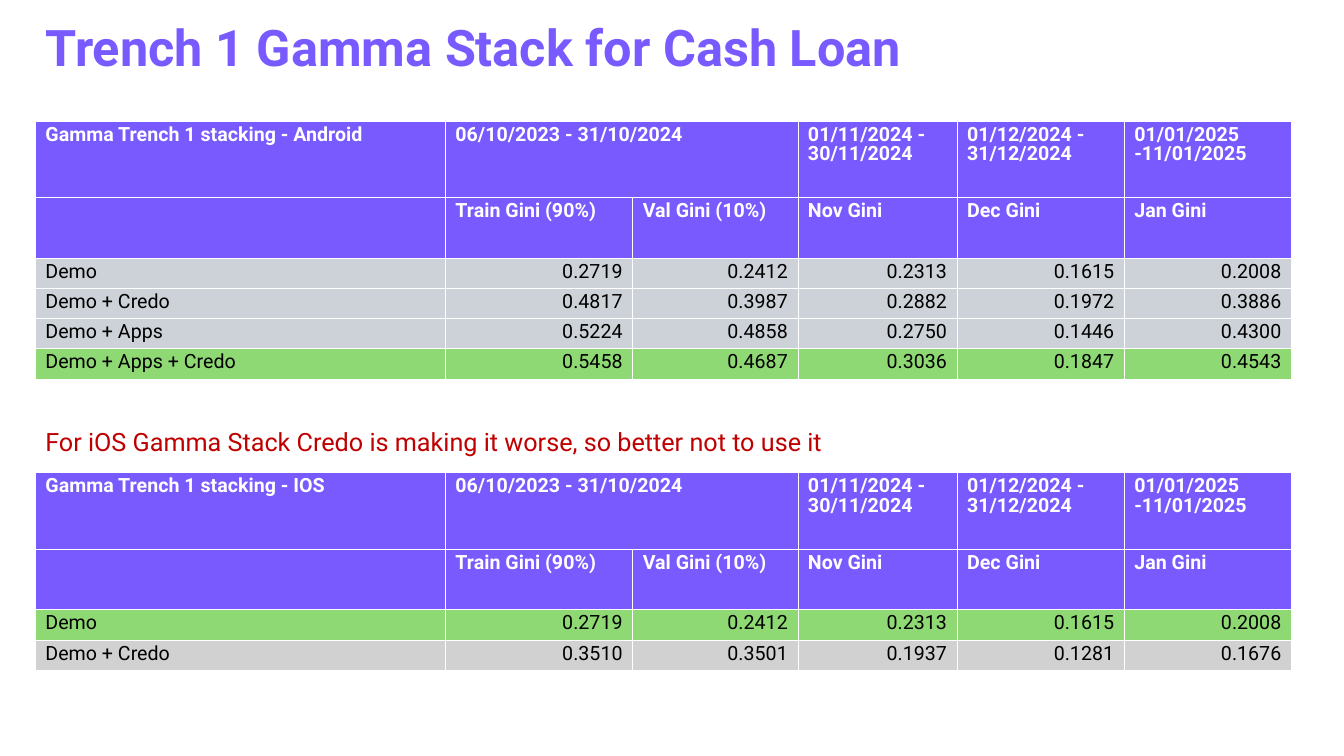
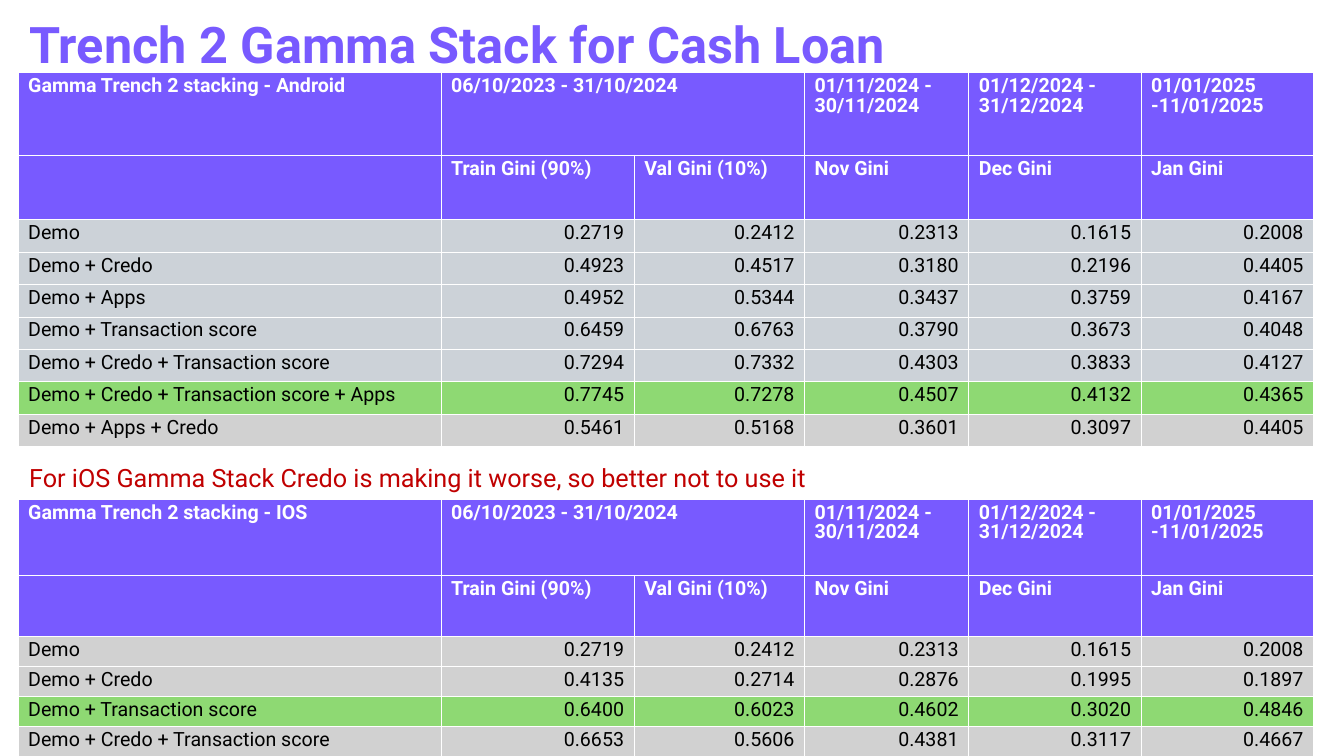
from lxml import etree
from pptx import Presentation
from pptx.dml.color import RGBColor
from pptx.enum.text import MSO_ANCHOR, MSO_AUTO_SIZE, PP_ALIGN
from pptx.oxml.ns import qn
from pptx.util import Inches, Pt

LEFT, RIGHT = PP_ALIGN.LEFT, PP_ALIGN.RIGHT
TOP = MSO_ANCHOR.TOP
GROW = MSO_AUTO_SIZE.SHAPE_TO_FIT_TEXT

FONT = "Roboto"
TITLE_ONLY = 5
COLORS = {
    "violet": "785AFF",
    "white": "FFFFFF",
    "black": "000000",
    "red": "C00000",
    "slate": "CCD2D8",
    "gray": "D1D1D1",
    "green": "8ED973",
}

COLUMN_WEIGHTS = [4.07, 1.86, 1.64, 1.58, 1.66, 1.66]
PERIODS = ["06/10/2023 - 31/10/2024", "", "01/11/2024 - 30/11/2024",
           "01/12/2024 - 31/12/2024", "01/01/2025 -11/01/2025"]
MEASURES = ["", "Train Gini (90%)", "Val Gini (10%)", "Nov Gini", "Dec Gini", "Jan Gini"]
IOS_NOTE = "For iOS Gamma Stack Credo is making it worse, so better not to use it"

# Row heights in percent of the slide height: periods, measures, each result
NORMAL_ROWS = (10.13, 8, 4)
TALL_ROWS = (10.93, 8.53, 4.29)

# Each result: fill, label, values
TRENCH_1_ANDROID = [
    ("slate", "Demo", "0.2719 0.2412 0.2313 0.1615 0.2008"),
    ("slate", "Demo + Credo", "0.4817 0.3987 0.2882 0.1972 0.3886"),
    ("slate", "Demo + Apps", "0.5224 0.4858 0.2750 0.1446 0.4300"),
    ("green", "Demo + Apps + Credo", "0.5458 0.4687 0.3036 0.1847 0.4543"),
]
TRENCH_1_IOS = [
    ("green", "Demo", "0.2719 0.2412 0.2313 0.1615 0.2008"),
    ("gray", "Demo + Credo", "0.3510 0.3501 0.1937 0.1281 0.1676"),
]
TRENCH_2_ANDROID = [
    ("slate", "Demo", "0.2719 0.2412 0.2313 0.1615 0.2008"),
    ("slate", "Demo + Credo", "0.4923 0.4517 0.3180 0.2196 0.4405"),
    ("slate", "Demo + Apps", "0.4952 0.5344 0.3437 0.3759 0.4167"),
    ("slate", "Demo + Transaction score", "0.6459 0.6763 0.3790 0.3673 0.4048"),
    ("slate", "Demo + Credo + Transaction score", "0.7294 0.7332 0.4303 0.3833 0.4127"),
    ("green", "Demo + Credo + Transaction score + Apps", "0.7745 0.7278 0.4507 0.4132 0.4365"),
    ("gray", "Demo + Apps + Credo", "0.5461 0.5168 0.3601 0.3097 0.4405"),
]
TRENCH_2_IOS = [
    ("gray", "Demo", "0.2719 0.2412 0.2313 0.1615 0.2008"),
    ("gray", "Demo + Credo", "0.4135 0.2714 0.2876 0.1995 0.1897"),
    ("green", "Demo + Transaction score", "0.6400 0.6023 0.4602 0.3020 0.4846"),
    ("gray", "Demo + Credo + Transaction score", "0.6653 0.5606 0.4381 0.3117 0.4667"),
]


def color(name):
    return RGBColor.from_string(COLORS[name])


def write(frame, text, size=14, fill="black", bold=False, align=LEFT, spacing=None):
    para = frame.paragraphs[0]
    para.alignment = align
    para.line_spacing = spacing
    span = para.add_run()
    span.text = text
    span.font.name = FONT
    span.font.size = Pt(size)
    span.font.bold = bold
    span.font.color.rgb = color(fill)


def add_cell_borders(cell):
    properties = cell._tc.get_or_add_tcPr()
    for side in ("a:lnL", "a:lnR", "a:lnT", "a:lnB"):
        line = etree.SubElement(properties, qn(side), w=str(Pt(0.5)))
        solid = etree.SubElement(line, qn("a:solidFill"))
        etree.SubElement(solid, qn("a:srgbClr"), val=COLORS["white"])


class GiniDeck:
    """Holds the deck and current slide; lengths are percent of the slide's size."""

    def __init__(self):
        self.deck = Presentation()
        self.deck.slide_width = Inches(13.33)
        self.deck.slide_height = Inches(7.5)
        self.page = None

    def across(self, percent):
        return round(self.deck.slide_width * percent / 100)

    def down(self, percent):
        return round(self.deck.slide_height * percent / 100)

    def area(self, left, top, width, height):
        return self.across(left), self.down(top), self.across(width), self.down(height)

    def add_page(self, title, left, top, width):
        self.page = self.deck.slides.add_slide(self.deck.slide_layouts[TITLE_ONLY])
        box = self.page.shapes.title
        box.left, box.top, box.width, box.height = self.area(left, top, width, 9.47)
        frame = box.text_frame
        frame.word_wrap = True
        frame.auto_size = GROW
        frame.vertical_anchor = TOP
        write(frame, title, size=36, fill="violet", bold=True)

    def add_note(self, text, left, top):
        box = self.page.shapes.add_textbox(*self.area(left, top, 89.27, 5.33))
        box.text_frame.word_wrap = True
        box.text_frame.auto_size = GROW
        write(box.text_frame, text, size=18, fill="red")

    def add_gini_table(self, heading, results, left, top, width, row_heights=NORMAL_ROWS):
        rows = [("violet", [heading, *PERIODS]), ("violet", MEASURES)]
        rows += [(fill, [label, *values.split()]) for fill, label, values in results]
        heights = [*row_heights[:2], *[row_heights[2]] * len(results)]
        table = self.page.shapes.add_table(
            len(rows), len(COLUMN_WEIGHTS), *self.area(left, top, width, sum(heights))).table
        table.first_row = table.horz_banding = False
        for column, weight in zip(table.columns, COLUMN_WEIGHTS):
            column.width = self.across(width * weight / sum(COLUMN_WEIGHTS))
        for row_index, (fill, texts) in enumerate(rows):
            table.rows[row_index].height = self.down(heights[row_index])
            for column_index, text in enumerate(texts):
                self.fill_cell(table.cell(row_index, column_index), text, fill,
                               header=row_index < 2, number=row_index > 1 and column_index > 0)
        table.cell(0, 1).merge(table.cell(0, 2))

    def fill_cell(self, cell, text, fill, header, number):
        add_cell_borders(cell)
        cell.fill.solid()
        cell.fill.fore_color.rgb = color(fill)
        if text:
            write(cell.text_frame, text, fill="white" if header else "black", bold=header,
                  align=RIGHT if number else LEFT, spacing=Pt(14.2))


def main():
    gini = GiniDeck()

    gini.add_page("Trench 1 Gamma Stack for Cash Loan", 2.63, 1.47, 67.67)
    gini.add_gini_table("Gamma Trench 1 stacking - Android", TRENCH_1_ANDROID, 2.63, 16, 93.47)
    gini.add_note(IOS_NOTE, 2.63, 55.73)
    gini.add_gini_table("Gamma Trench 1 stacking - IOS", TRENCH_1_IOS, 2.63, 62.53, 93.47)

    gini.add_page("Trench 2 Gamma Stack for Cash Loan", 1.43, 1.07, 88.9)
    gini.add_gini_table("Gamma Trench 2 stacking - Android", TRENCH_2_ANDROID,
                        1.35, 9.6, 96.4, TALL_ROWS)
    gini.add_note(IOS_NOTE, 1.43, 60.53)
    gini.add_gini_table("Gamma Trench 2 stacking - IOS", TRENCH_2_IOS, 1.35, 66, 96.4)

    gini.deck.save("out.pptx")


if __name__ == "__main__":
    main()
